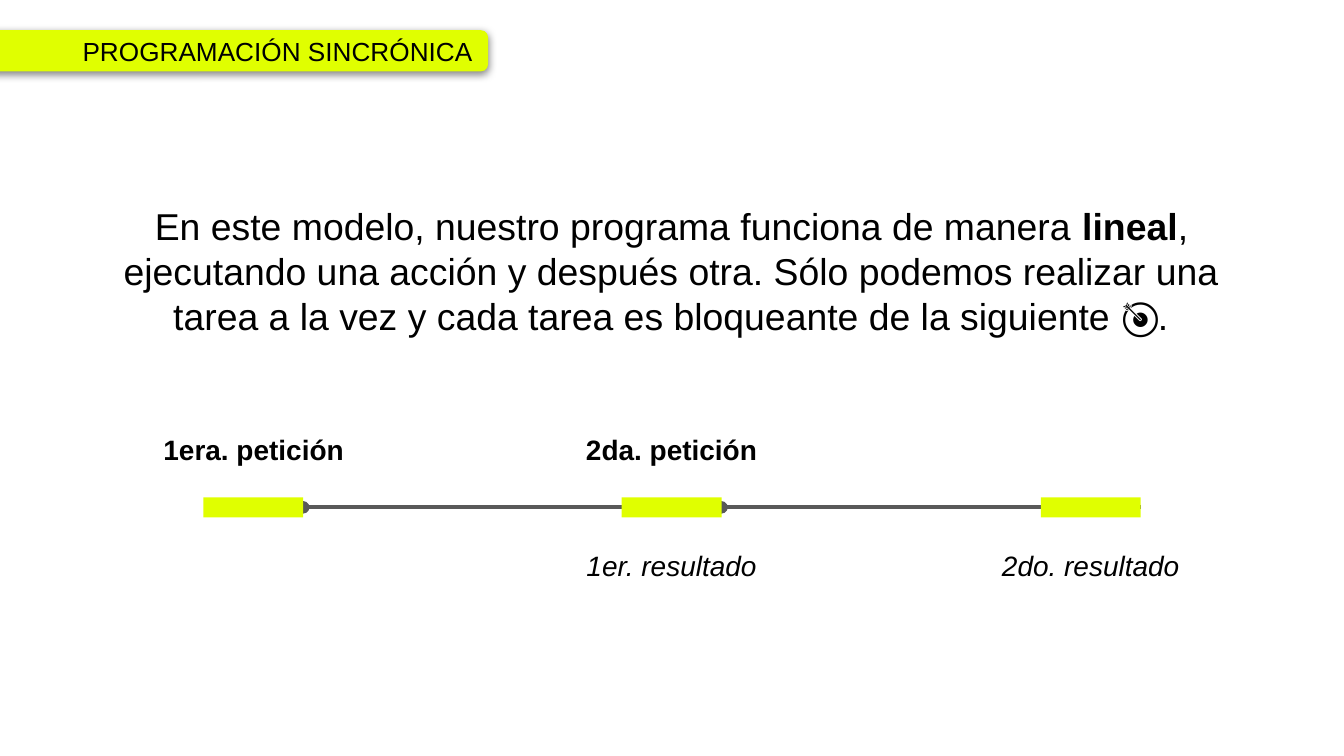
import dataclasses

import lxml.etree
import pptx
import pptx.dml.color
import pptx.enum.shapes
import pptx.enum.text
import pptx.oxml.ns
import pptx.util

PX = 5715
ALIGN = pptx.enum.text.PP_ALIGN
SHAPE = pptx.enum.shapes.MSO_SHAPE
qn = pptx.oxml.ns.qn


@dataclasses.dataclass(frozen=True)
class Theme:
    font: str = "Arial"
    accent: str = "E0FF00"
    line: str = "595959"
    text: str = "000000"
    title: int = 14
    body: int = 20
    label: int = 15
    stroke: float = 2.25


THEME = Theme()


def rgb(color):
    return pptx.dml.color.RGBColor.from_string(color)


def emu(*lengths):
    return [pptx.util.Emu(v * PX) for v in lengths]


def write(sp, runs, size, align):
    tf = sp.text_frame
    tf.word_wrap = True
    tf.margin_left = tf.margin_right = tf.margin_top = tf.margin_bottom = emu(16)[0]
    p = tf.paragraphs[0]
    p.alignment = align
    for text, style in runs:
        r = p.add_run()
        r.text = text
        r.font.name = THEME.font
        r.font.size = pptx.util.Pt(size)
        r.font.bold = style == "bold"
        r.font.italic = style == "italic"
        r.font.color.rgb = rgb(THEME.text)


def add_text(s, box, runs, size):
    sp = s.shapes.add_textbox(*emu(*box))
    write(sp, runs, size, ALIGN.CENTER)
    sp.text_frame.auto_size = pptx.enum.text.MSO_AUTO_SIZE.SHAPE_TO_FIT_TEXT


def add_bar(s, kind, box):
    sp = s.shapes.add_shape(kind, *emu(*box))
    sp.shadow.inherit = False
    sp.fill.solid()
    sp.fill.fore_color.rgb = rgb(THEME.accent)
    sp.line.fill.background()
    return sp


def add_link(s, x1, x2, y):
    kind = pptx.enum.shapes.MSO_CONNECTOR.STRAIGHT
    link = s.shapes.add_connector(kind, *emu(x1, y, x2, y))
    link.line.color.rgb = rgb(THEME.line)
    link.line.width = pptx.util.Pt(THEME.stroke)
    ln = link._element.spPr.find(qn("a:ln"))
    lxml.etree.SubElement(ln, qn("a:headEnd"), type="oval")
    lxml.etree.SubElement(link._element.spPr, qn("a:effectLst"))


def title_tab(s, box, title):
    sp = add_bar(s, SHAPE.ROUNDED_RECTANGLE, box)
    sp.adjustments[0] = 0.17
    effects = sp._element.spPr.find(qn("a:effectLst"))
    shadow = lxml.etree.SubElement(
        effects, qn("a:outerShdw"), blurRad=str(pptx.util.Pt(4.5)),
        dist=str(pptx.util.Pt(1.5)), dir="5400000", algn="bl", rotWithShape="0")
    color = lxml.etree.SubElement(shadow, qn("a:srgbClr"), val=THEME.text)
    lxml.etree.SubElement(color, qn("a:alpha"), val="50000")
    write(sp, [(title, "")], THEME.title, ALIGN.RIGHT)
    sp.text_frame.vertical_anchor = pptx.enum.text.MSO_ANCHOR.MIDDLE


def timeline(s, box, stages):
    left, top, width, height = box
    bar_w, bar_h, bar_top, label_h = 119, 24, 93, 72
    gaps = len(stages) - 1
    bars = [left + i * (width - bar_w) // gaps for i in range(len(stages))]
    for start, end in zip(bars, bars[1:]):
        add_link(s, start + bar_w, end + bar_w, top + bar_top + bar_h // 2)
    rows = (("bold", top), ("italic", top + height - label_h))
    for x, labels in zip(bars, stages):
        add_bar(s, SHAPE.RECTANGLE, (x, top + bar_top, bar_w, bar_h))
        for label, (style, y) in zip(labels, rows):
            if label:
                text, label_w = label
                label_x = x + (bar_w - label_w + 1) // 2
                add_text(s, (label_x, y, label_w, label_h), [(text, style)], THEME.label)


def main():
    prs = pptx.Presentation()
    prs.slide_width, prs.slide_height = emu(1600, 900)
    s = prs.slides.add_slide(prs.slide_layouts[6])
    title_tab(s, (-37, 36, 618, 49), "PROGRAMACIÓN SINCRÓNICA")
    add_text(s, (94, 226, 1411, 194), [
        ("En este modelo, nuestro programa funciona de manera ", ""),
        ("lineal", "bold"),
        (", ejecutando una acción y después otra. Sólo podemos realizar una "
         "tarea a la vez y cada tarea es bloqueante de la siguiente 🎯.", ""),
    ], THEME.body)
    timeline(s, (242, 499, 1116, 210), [
        (("1era. petición", 258), None),
        (("2da. petición", 285), ("1er. resultado", 269)),
        (None, ("2do. resultado", 269)),
    ])
    prs.save("out.pptx")


if __name__ == "__main__":
    main()
